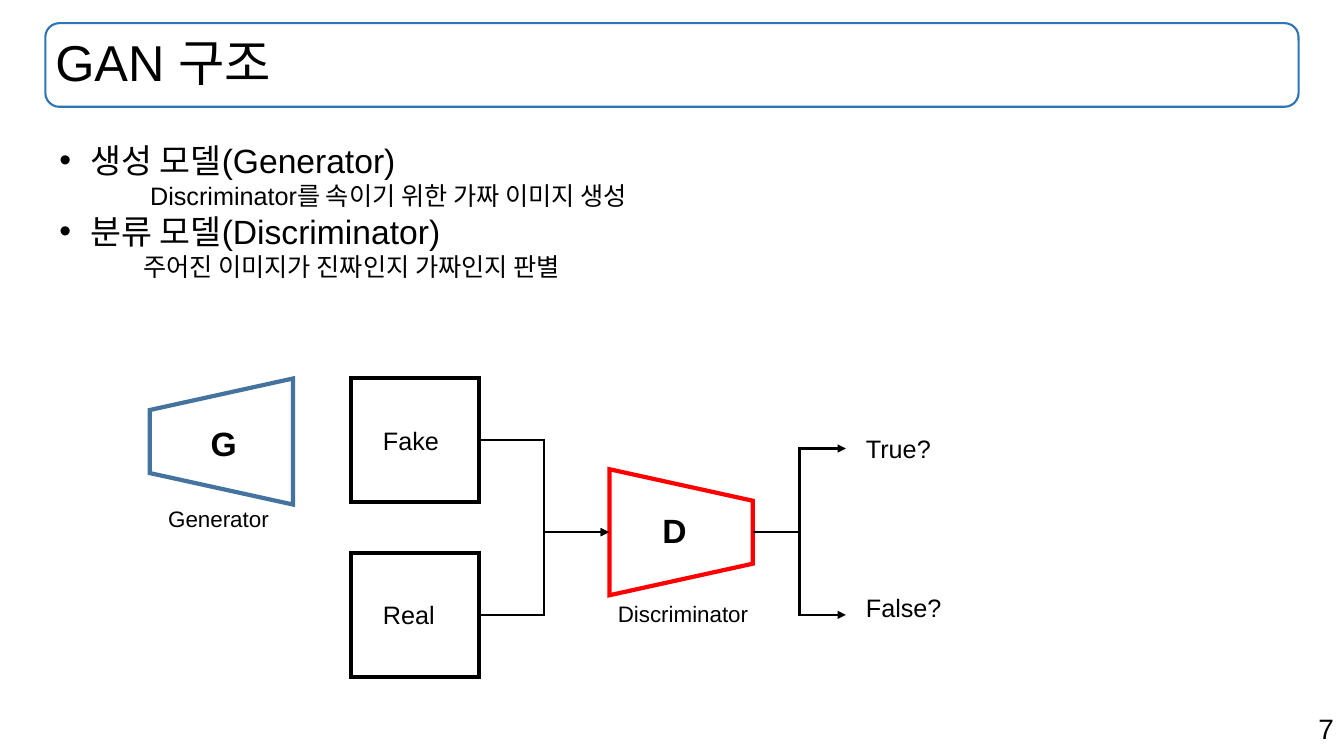
import pptx
import pptx.util
import pptx.dml.color
import pptx.enum.shapes
import pptx.enum.text
import pptx.oxml.ns
from lxml import etree

Inches = pptx.util.Inches
Pt = pptx.util.Pt
SHAPE = pptx.enum.shapes.MSO_SHAPE
ALIGN = pptx.enum.text.PP_ALIGN
qn = pptx.oxml.ns.qn

# Content
FONT = "Arial"
COLORS = {"ink": "000000", "frame": "2E75B6", "generator": "43739E",
          "discriminator": "FF0000", "paper": "FFFFFF"}
TITLE = "GAN 구조"
PAGE_NUMBER = "7"
# text, size, left indent, bulleted
BODY = [
    ("생성 모델(Generator)", 24, 0.31, True),
    ("Discriminator를 속이기 위한 가짜 이미지 생성", 18, 0.9, False),
    ("분류 모델(Discriminator)", 24, 0.31, True),
    ("주어진 이미지가 진짜인지 가짜인지 판별", 18, 0.83, False),
]
# left, top, width, height, rotation, fill, line
MODELS = [
    (1.57, 3.67, 1.25, 1.42, 270, "paper", "generator"),
    (6.13, 4.57, 1.25, 1.42, 90, None, "discriminator"),
]
IMAGE_LEFT, IMAGE_WIDTH, IMAGE_HEIGHT = 3.48, 1.27, 1.23
IMAGE_TOPS = (3.75, 5.49)
# text, left, top, width, height, size, bold
LABELS = [
    ("G", 1.99, 4.15, 0.41, 0.5, 24, True),
    ("D", 6.47, 5.01, 0.41, 0.5, 24, True),
    ("Fake", 3.7, 4.17, 0.81, 0.4, 18, False),
    ("Real", 3.7, 5.9, 0.81, 0.4, 18, False),
    ("True?", 8.49, 4.25, 0.97, 0.4, 18, False),
    ("False?", 8.49, 5.83, 0.97, 0.4, 18, False),
    ("Generator", 1.57, 4.96, 1.67, 0.37, 16, False),
    ("Discriminator", 6.03, 5.9, 1.67, 0.37, 16, False),
]
AXIS = 5.28  # height of the discriminator's centre line
INPUT_X, OUTPUT_X = (4.76, 6.04), (7.47, 8.39)
OUTPUT_ENDS = (4.45, 6.1)

deck = pptx.Presentation()
deck.slide_width, deck.slide_height = Inches(13.33), Inches(7.5)
page = deck.slides.add_slide(deck.slide_layouts[6])


def color(name):
    return pptx.dml.color.RGBColor.from_string(COLORS[name])


def set_line(item, name, width):
    item.line.color.rgb = color(name)
    item.line.width = Pt(width)
    line = item.line._get_or_add_ln()
    etree.SubElement(line, qn("a:miter"), lim="800000")
    return line


def add_outline(kind, left, top, width, height, line, weight, fill=None):
    shape = page.shapes.add_shape(kind, *map(Inches, (left, top, width, height)))
    shape.shadow.inherit = False
    if fill:
        shape.fill.solid()
        shape.fill.fore_color.rgb = color(fill)
    else:
        shape.fill.background()
    set_line(shape, line, weight)
    return shape


def write(para, text, size, bold=False):
    span = para.add_run()
    span.text = text
    span.font.name = FONT
    span.font.size = Pt(size)
    span.font.bold = bold
    span.font.color.rgb = color("ink")


def add_box(left, top, width, height):
    box = page.shapes.add_textbox(*map(Inches, (left, top, width, height)))
    box.text_frame.word_wrap = True
    return box.text_frame


def add_elbow(start, end):
    elbow = page.shapes.add_connector(
        pptx.enum.shapes.MSO_CONNECTOR.ELBOW, *map(Inches, start + end))
    line = set_line(elbow, "ink", 1.5)
    etree.SubElement(line, qn("a:tailEnd"), type="triangle")
    etree.SubElement(elbow._element.spPr, qn("a:effectLst"))


# Title and page number
header = (0.45, 0.23, 12.43, 0.83)
add_outline(SHAPE.ROUNDED_RECTANGLE, *header, "frame", 1.5)
title = add_box(*header)
title.vertical_anchor = pptx.enum.text.MSO_ANCHOR.MIDDLE
title.paragraphs[0].line_spacing = 0.9
write(title.paragraphs[0], TITLE, 36)
number = add_box(9.43, 7.01, 3.9, 0.44).paragraphs[0]
number.alignment = ALIGN.RIGHT
write(number, PAGE_NUMBER, 20)

# Explanation
body = add_box(0.49, 1.34, 8.52, 1.51)
for index, (text, size, indent, bulleted) in enumerate(BODY):
    para = body.add_paragraph() if index else body.paragraphs[0]
    properties = para._p.get_or_add_pPr()
    properties.set("marL", str(Inches(indent)))
    if bulleted:
        properties.set("indent", str(-Inches(indent)))
        etree.SubElement(properties, qn("a:buFont"), typeface=FONT)
        etree.SubElement(properties, qn("a:buChar"), char="•")
    write(para, text, size)

# Models and image squares
for left, top, width, height, rotation, fill, line in MODELS:
    model = add_outline(SHAPE.TRAPEZOID, left, top, width, height, line, 3, fill)
    model.rotation = rotation
for top in IMAGE_TOPS:
    add_outline(SHAPE.RECTANGLE, IMAGE_LEFT, top, IMAGE_WIDTH, IMAGE_HEIGHT, "ink", 3)

# Arrows into and out of the discriminator
for top in IMAGE_TOPS:
    add_elbow((INPUT_X[0], top + IMAGE_HEIGHT / 2), (INPUT_X[1], AXIS))
for end in OUTPUT_ENDS:
    add_elbow((OUTPUT_X[0], AXIS), (OUTPUT_X[1], end))

# Labels
for text, left, top, width, height, size, bold in LABELS:
    write(add_box(left, top, width, height).paragraphs[0], text, size, bold)

deck.save("out.pptx")
